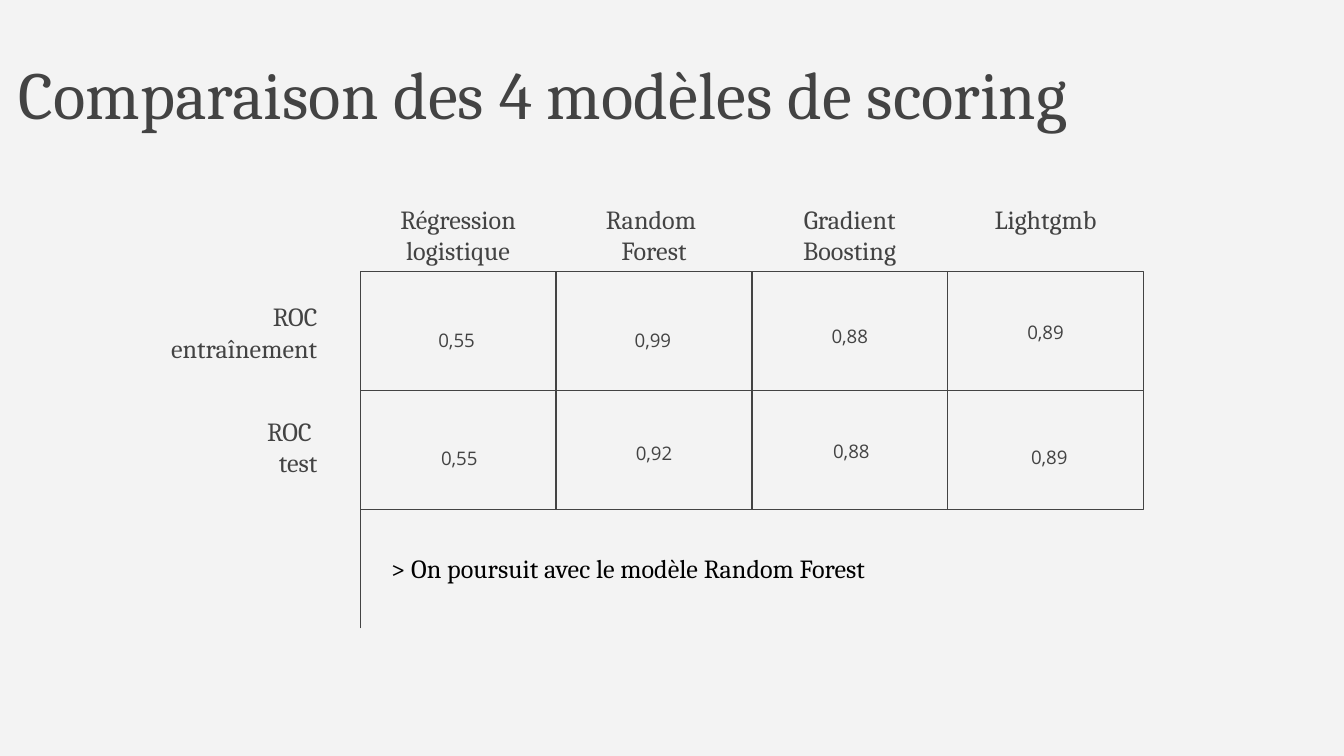
from dataclasses import dataclass

from pptx import Presentation
from pptx.dml.color import RGBColor
from pptx.enum.shapes import MSO_SHAPE
from pptx.enum.text import MSO_ANCHOR, MSO_AUTO_SIZE, PP_ALIGN
from pptx.util import Cm, Pt

COLORS = {"background": "F3F3F3", "ink": "434343", "black": "000000"}
SERIF, SANS = "Cambria", "Open Sans"

GRID_LEFT, GRID_TOP = 6.81, 5.13
CELL_W, CELL_H = 3.7, 2.25
LABEL_W, LABEL_H = 3.84, 1.4

LABEL_INSETS = (0, 0.03, 0, 0)
TITLE_INSETS = (0.25, 0.25, 0.25, 0.25)
NOTE_INSETS = (0.25, 0.13, 0.25, 0.13)


@dataclass
class Label:
    lines: list[str]
    left: float
    top: float
    width: float
    height: float
    size: int = 14
    font: str = SERIF
    color: str = "ink"
    align: PP_ALIGN = PP_ALIGN.CENTER
    anchor: MSO_ANCHOR = MSO_ANCHOR.TOP
    insets: tuple = LABEL_INSETS
    auto_size: MSO_AUTO_SIZE = MSO_AUTO_SIZE.NONE


@dataclass
class Score:
    text: str
    dx: float  # shift from the left edge of its column
    top: float


HEADERS = [["Régression logistique"], ["Random ", "Forest"],
           ["Gradient", "Boosting"], ["Lightgmb"]]
ROW_LABELS = [(["ROC entraînement"], 5.59), (["ROC ", "test"], 7.75)]
SCORES = [
    (CELL_W, [Score("0,55", -0.03, 5.72), Score("0,99", -0.02, 5.72),
              Score("0,88", 0, 5.64), Score("0,89", 0, 5.56)]),
    (LABEL_W, [Score("0,55", -0.05, 7.95), Score("0,92", -0.07, 7.85),
               Score("0,88", -0.04, 7.82), Score("0,89", 0, 7.92)]),
]


def rgb(name: str) -> RGBColor:
    return RGBColor.from_string(COLORS[name])


def column_left(col: int) -> float:
    return GRID_LEFT + col * CELL_W


def outline(sp) -> None:
    """Leave only a thin dark line: no fill, no shadow."""
    sp.shadow.inherit = False
    sp.fill.background()
    sp.line.color.rgb = rgb("ink")
    sp.line.width = Pt(0.75)


def add_axes(s) -> None:
    """Draw the open line down the left and along the top of the grid."""
    right, bottom = GRID_LEFT + 4 * CELL_W - 0.02, GRID_TOP + 3 * CELL_H
    builder = s.shapes.build_freeform(Cm(GRID_LEFT), Cm(bottom))
    builder.add_line_segments([(Cm(GRID_LEFT), Cm(GRID_TOP)), (Cm(right), Cm(GRID_TOP))],
                              close=False)
    outline(builder.convert_to_shape())


def add_cell(s, row: int, col: int) -> None:
    outline(s.shapes.add_shape(MSO_SHAPE.RECTANGLE, Cm(column_left(col)),
                               Cm(GRID_TOP + row * CELL_H), Cm(CELL_W), Cm(CELL_H)))


def add_label(s, label: Label) -> None:
    sp = s.shapes.add_textbox(Cm(label.left), Cm(label.top), Cm(label.width), Cm(label.height))
    tf = sp.text_frame
    left, top, right, bottom = map(Cm, label.insets)
    frame_format = {"word_wrap": True, "auto_size": label.auto_size,
                    "vertical_anchor": label.anchor, "margin_left": left,
                    "margin_top": top, "margin_right": right, "margin_bottom": bottom}
    for name, value in frame_format.items():
        setattr(tf, name, value)
    for i, line in enumerate(label.lines):
        p = tf.add_paragraph() if i else tf.paragraphs[0]
        p.alignment = label.align
        r = p.add_run()
        r.text = line
        for name, value in {"size": Pt(label.size), "name": label.font}.items():
            setattr(r.font, name, value)
        r.font.color.rgb = rgb(label.color)


def main() -> None:
    prs = Presentation()
    prs.slide_width, prs.slide_height = Cm(25.4), Cm(14.29)
    s = prs.slides.add_slide(prs.slide_layouts[6])
    s.background.fill.solid()
    s.background.fill.fore_color.rgb = rgb("background")

    add_label(s, Label(["Comparaison des 4 modèles de scoring"], 0.1, 0.74, 20.8, 2.62,
                       size=36, align=PP_ALIGN.LEFT, insets=TITLE_INSETS))
    add_axes(s)
    for row in range(len(SCORES)):
        for col in range(len(HEADERS)):
            add_cell(s, row, col)

    for col, lines in enumerate(HEADERS):
        add_label(s, Label(lines, column_left(col) - 0.07, 3.81, LABEL_W, LABEL_H))
    for lines, top in ROW_LABELS:
        add_label(s, Label(lines, 2.9, top, 3.1, 1.35, align=PP_ALIGN.RIGHT,
                           anchor=MSO_ANCHOR.MIDDLE))
    for width, scores in SCORES:
        for col, score in enumerate(scores):
            add_label(s, Label([score.text], column_left(col) + score.dx, score.top, width,
                               LABEL_H, size=10, font=SANS, anchor=MSO_ANCHOR.MIDDLE))
    add_label(s, Label(["> On poursuit avec le modèle Random Forest"], 7.14, 10.31, 11.1, 0.86,
                       color="black", align=PP_ALIGN.LEFT, insets=NOTE_INSETS,
                       auto_size=MSO_AUTO_SIZE.SHAPE_TO_FIT_TEXT))
    prs.save("out.pptx")


if __name__ == "__main__":
    main()
